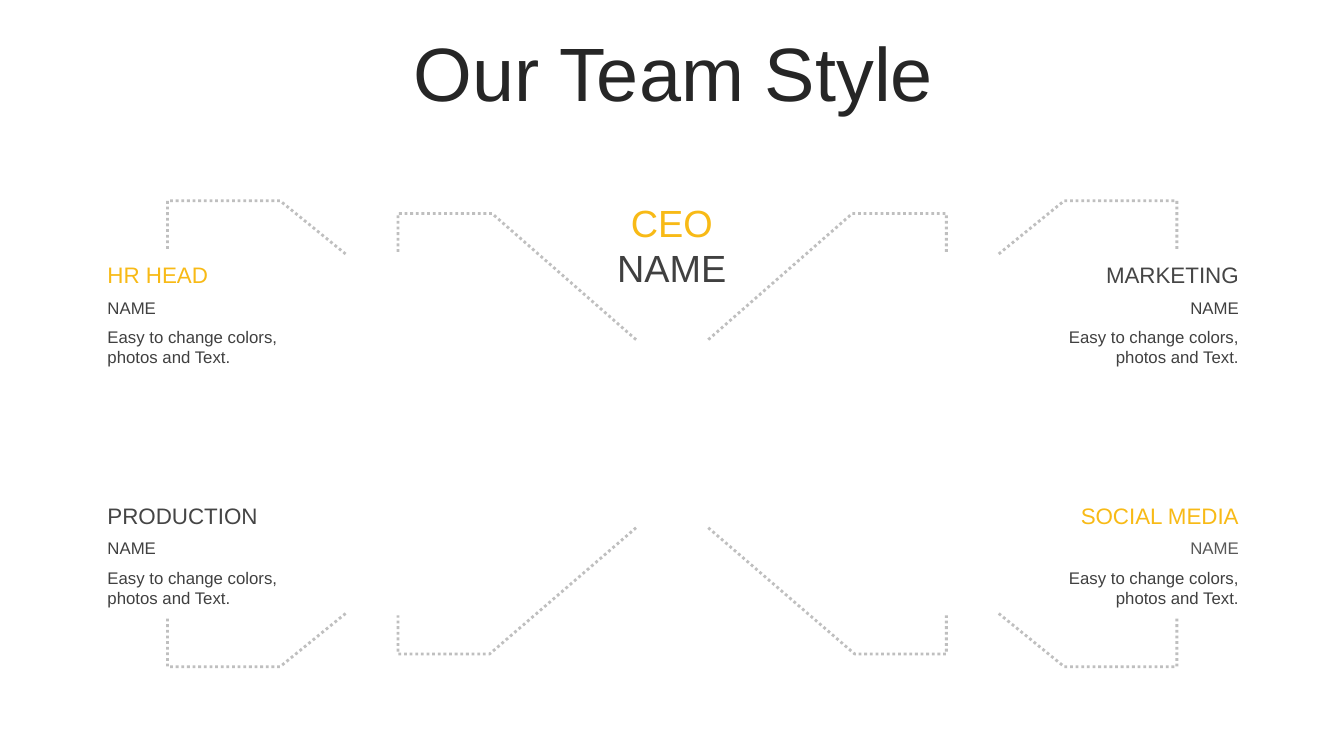
from pptx import Presentation
from pptx.dml.color import RGBColor
from pptx.enum.dml import MSO_LINE
from pptx.enum.text import MSO_ANCHOR, PP_ALIGN
from pptx.util import Cm, Pt

LEFT, CENTER, RIGHT = PP_ALIGN.LEFT, PP_ALIGN.CENTER, PP_ALIGN.RIGHT
TOP, MIDDLE = MSO_ANCHOR.TOP, MSO_ANCHOR.MIDDLE
DOTTED = MSO_LINE.ROUND_DOT

AMBER, DARK, GREY = "F8BA16", "404040", "454545"
MIRROR_X, MIRROR_Y = 33.88, 21.86
MEMBER_WIDTH = 5
DESCRIPTION = "Easy to change colors, photos and Text."


def rgb(color):
    return RGBColor.from_string(color)


def add_text(shapes, box, lines, size, align, anchor=MIDDLE):
    sp = shapes.add_textbox(*(Cm(v) for v in box))
    tf = sp.text_frame
    tf.word_wrap = True
    tf.vertical_anchor = anchor
    tf.text = "\n".join(text for text, _ in lines)
    for p, (_, color) in zip(tf.paragraphs, lines):
        p.alignment = align
        for r in p.runs:
            r.font.name = "Arial"
            r.font.size = Pt(size)
            r.font.color.rgb = rgb(color)
    return sp


def add_path(shapes, points):
    start, *rest = [(Cm(x), Cm(y)) for x, y in points]
    builder = shapes.build_freeform(*start)
    builder.add_line_segments(rest, close=False)
    sp = builder.convert_to_shape()
    sp.shadow.inherit = False
    sp.fill.background()
    sp.line.color.rgb = rgb("BFBFBF")
    sp.line.width = Pt(2)
    sp.line.dash_style = DOTTED


def add_mirrored_paths(shapes, top, bottom):
    for points, flip in ((top, False), (bottom, True)):
        left = [(x, MIRROR_Y - y if flip else y) for x, y in points]
        add_path(shapes, left)
        add_path(shapes, [(MIRROR_X - x, y) for x, y in left])


def add_member(shapes, x, y, role, role_color, name_color, align):
    group = shapes.add_group_shape().shapes
    add_text(group, (x, y, MEMBER_WIDTH, 0.89), [(role, role_color)], 16, align)
    add_text(group, (x, y + 0.91, MEMBER_WIDTH, 0.71), [("NAME", name_color)], 12, align)
    add_text(group, (x, y + 1.62, MEMBER_WIDTH, 1.27), [(DESCRIPTION, DARK)], 12, align, TOP)


def main():
    prs = Presentation()
    prs.slide_width, prs.slide_height = Cm(33.87), Cm(19.05)
    shapes = prs.slides.add_slide(prs.slide_layouts[6]).shapes

    title = add_text(shapes, (0.89, 0.94, 32.16, 2.01),
                     [("Our Team Style", "262626")], 54, CENTER)
    title.text_frame.paragraphs[0].line_spacing = 0.9

    inner_top, inner_bottom = (
        [(16.03, 8.56), (elbow, 5.38), (10.03, 5.38), (10.03, 6.35)]
        for elbow in (12.4, 12.34))
    outer = [(8.71, 6.4), (7.06, 5.06), (4.22, 5.06), (4.22, 6.32)]
    add_mirrored_paths(shapes, inner_top, inner_bottom)
    add_mirrored_paths(shapes, outer, outer)

    add_text(shapes, (14.73, 4.9, 4.4, 2.57),
             [("CEO", AMBER), ("NAME", DARK)], 27, CENTER, TOP)

    left, right = 2.46, 26.47
    upper, lower = 6.48, 12.55
    for member in (
        (left, upper, "HR HEAD", AMBER, DARK, LEFT),
        (left, lower, "PRODUCTION", GREY, DARK, LEFT),
        (right, upper, "MARKETING", GREY, DARK, RIGHT),
        (right, lower, "SOCIAL MEDIA", AMBER, "595959", RIGHT),
    ):
        add_member(shapes, *member)

    prs.save("out.pptx")


if __name__ == "__main__":
    main()
